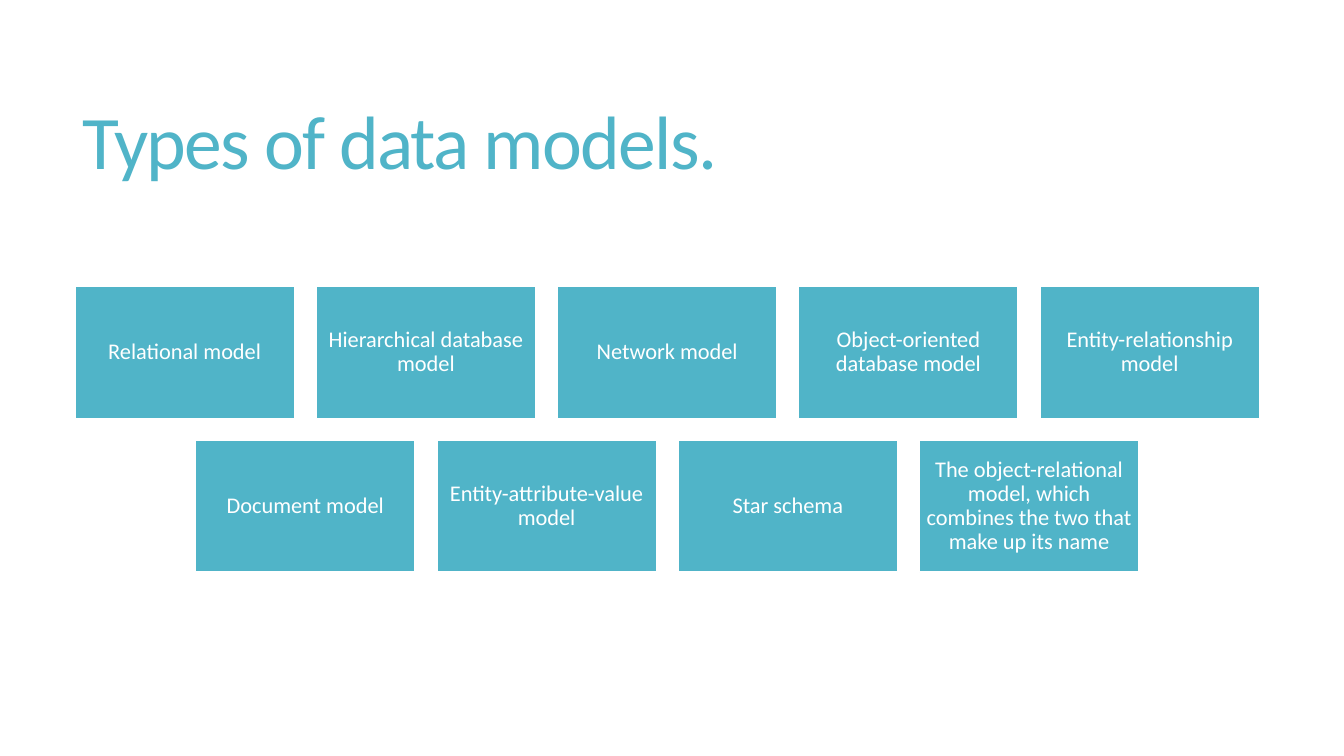
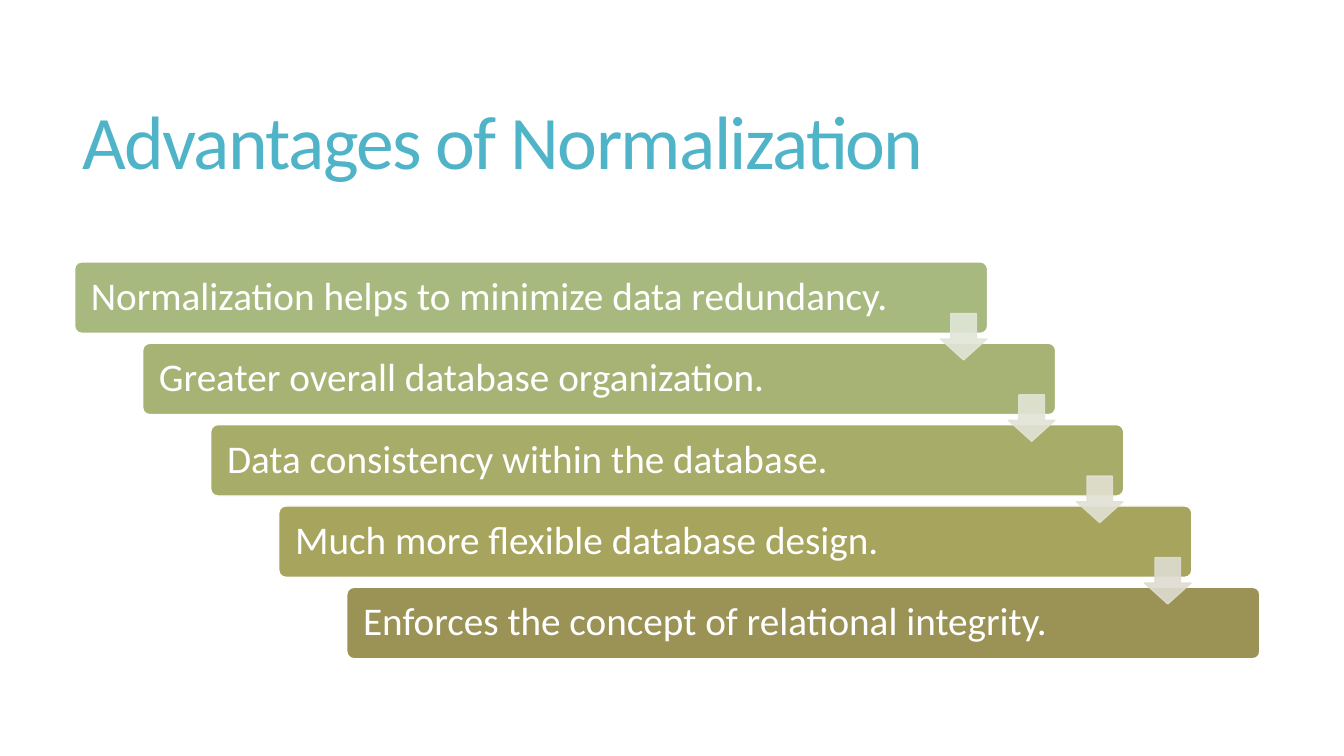
from lxml import etree
from pptx import Presentation
from pptx.dml.color import RGBColor
from pptx.enum.shapes import MSO_SHAPE
from pptx.enum.text import MSO_ANCHOR, MSO_AUTO_SIZE, PP_ALIGN
from pptx.oxml.ns import qn
from pptx.util import Cm, Pt

RECTANGLE = MSO_SHAPE.RECTANGLE
ROUNDED = MSO_SHAPE.ROUNDED_RECTANGLE
DOWN_ARROW = MSO_SHAPE.DOWN_ARROW
MIDDLE = MSO_ANCHOR.MIDDLE
NO_AUTOFIT = MSO_AUTO_SIZE.NONE
LEFT, CENTER = PP_ALIGN.LEFT, PP_ALIGN.CENTER

FONT = "Calibri"
TITLE_ONLY = 5
COLORS = {
    "accent": "50B4C8",
    "white": "FFFFFF",
    "bars": ["A8B97F", "A7B374", "A7AC68", "A6A45D", "9B9256"],
    "arrows": ["E1E6D8", "E1E4D5", "E1E1D3", "DEDCD1"],
}

# Body area shared by both slides, in centimetres
BODY_LEFT, BODY_WIDTH = 1.88, 29.87

MODEL_ROWS = [
    ["Relational model", "Hierarchical database model", "Network model",
     "Object-oriented database model", "Entity-relationship model"],
    ["Document model", "Entity-attribute-value model", "Star schema",
     "The object-relational model, which combines the two that make up its name"],
]
ADVANTAGES = [
    "Normalization helps to minimize data redundancy.",
    "Greater overall database organization.",
    "Data consistency within the database.",
    "Much more flexible database design.",
    "Enforces the concept of relational integrity.",
]


def write_text(shape, text, size, color, align=LEFT, line_spacing=0.9,
               tracking=None, margins=(0.25, 0.13)):
    """Fill the shape with one paragraph; margins are (sides, top and bottom) in cm."""
    frame = shape.text_frame
    frame.word_wrap = True
    frame.auto_size = NO_AUTOFIT
    frame.vertical_anchor = MIDDLE
    frame.margin_left = frame.margin_right = Cm(margins[0])
    frame.margin_top = frame.margin_bottom = Cm(margins[1])
    paragraph = frame.paragraphs[0]
    paragraph.alignment = align
    paragraph.line_spacing = line_spacing
    run = paragraph.add_run()
    run.text = text
    run.font.name = FONT
    run.font.size = Pt(size)
    run.font.color.rgb = RGBColor.from_string(color)
    if tracking is not None:
        run.font._element.set("spc", str(round(tracking * 100)))


def set_opacity(shape, percent):
    """Apply the opacity to both fill and line."""
    for color in shape._element.spPr.iter(qn("a:srgbClr")):
        etree.SubElement(color, qn("a:alpha")).set("val", str(percent * 1000))


class Deck:
    def __init__(self):
        self.presentation = Presentation()
        self.presentation.slide_width = Cm(33.87)
        self.presentation.slide_height = Cm(19.05)
        self.slide = None

    def add_slide(self, title):
        layout = self.presentation.slide_layouts[TITLE_ONLY]
        self.slide = self.presentation.slides.add_slide(layout)
        placeholder = self.slide.shapes.title
        placeholder.left, placeholder.top = Cm(1.83), Cm(1.4)
        placeholder.width, placeholder.height = Cm(29.92), Cm(4.6)
        write_text(placeholder, title, 54, COLORS["accent"],
                   line_spacing=0.85, tracking=-1.2)

    def add_shape(self, kind, left, top, width, height, fill, line, adjustments=()):
        shape = self.slide.shapes.add_shape(
            kind, Cm(left), Cm(top), Cm(width), Cm(height))
        shape.shadow.inherit = False
        shape.fill.solid()
        shape.fill.fore_color.rgb = RGBColor.from_string(fill)
        shape.line.color.rgb = RGBColor.from_string(line)
        shape.line.width = Pt(1)
        for index, value in enumerate(adjustments):
            shape.adjustments[index] = value
        return shape

    def add_card(self, text, left, top, width, height):
        card = self.add_shape(RECTANGLE, left, top, width, height,
                              COLORS["accent"], COLORS["white"])
        write_text(card, text, 16, COLORS["white"], align=CENTER,
                   margins=(0.17, 0.17))

    def add_bar(self, text, left, top, width, height, fill):
        bar = self.add_shape(ROUNDED, left, top, width, height,
                             fill, COLORS["white"], [0.1])
        write_text(bar, text, 28, COLORS["white"], margins=(0.36, 0))

    def add_arrow(self, left, top, size, color):
        arrow = self.add_shape(DOWN_ARROW, left, top, size, size,
                               color, color, [0.55, 0.45])
        set_opacity(arrow, 90)


def build_models(deck):
    deck.add_slide("Types of data models.")
    width, height, gap, first_top = 5.53, 3.33, 0.55, 7.21
    for row, names in enumerate(MODEL_ROWS):
        row_width = len(names) * (width + gap) - gap
        row_left = BODY_LEFT + (BODY_WIDTH - row_width) / 2
        for column, name in enumerate(names):
            deck.add_card(name, row_left + column * (width + gap),
                          first_top + row * (height + gap), width, height)


def build_advantages(deck):
    deck.add_slide("Advantages of Normalization")
    width, height, first_top, step_down = 23.01, 1.8, 6.6, 2.05
    step_right = (BODY_WIDTH - width) / (len(ADVANTAGES) - 1)
    corners = [(BODY_LEFT + index * step_right, first_top + index * step_down)
               for index in range(len(ADVANTAGES))]
    for text, (left, top), color in zip(ADVANTAGES, corners, COLORS["bars"]):
        deck.add_bar(text, left, top, width, height, color)
    for (left, top), color in zip(corners, COLORS["arrows"]):
        deck.add_arrow(left + 21.82, top + 1.3, 1.17, color)


def main():
    deck = Deck()
    build_models(deck)
    build_advantages(deck)
    deck.presentation.save("out.pptx")


if __name__ == "__main__":
    main()
